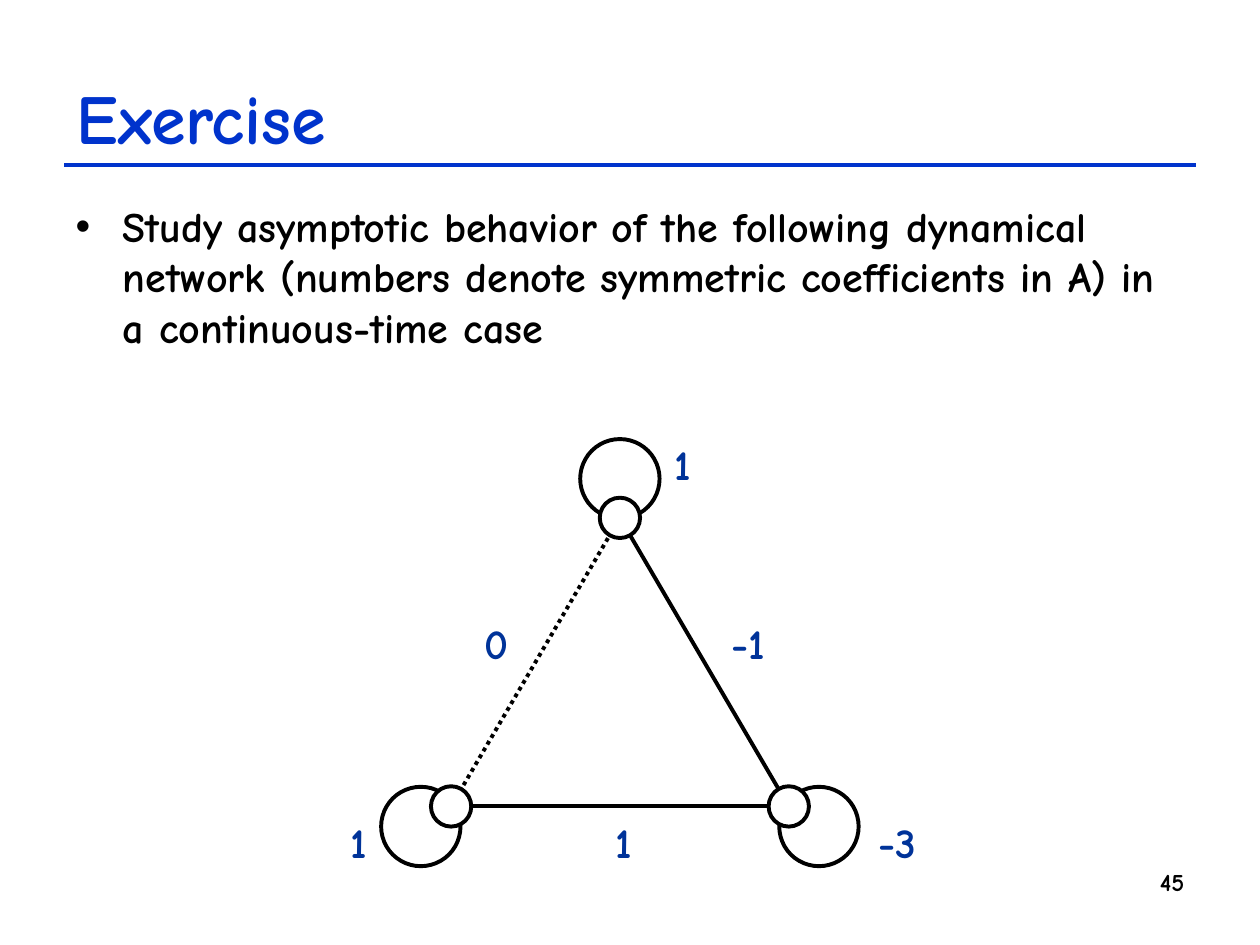
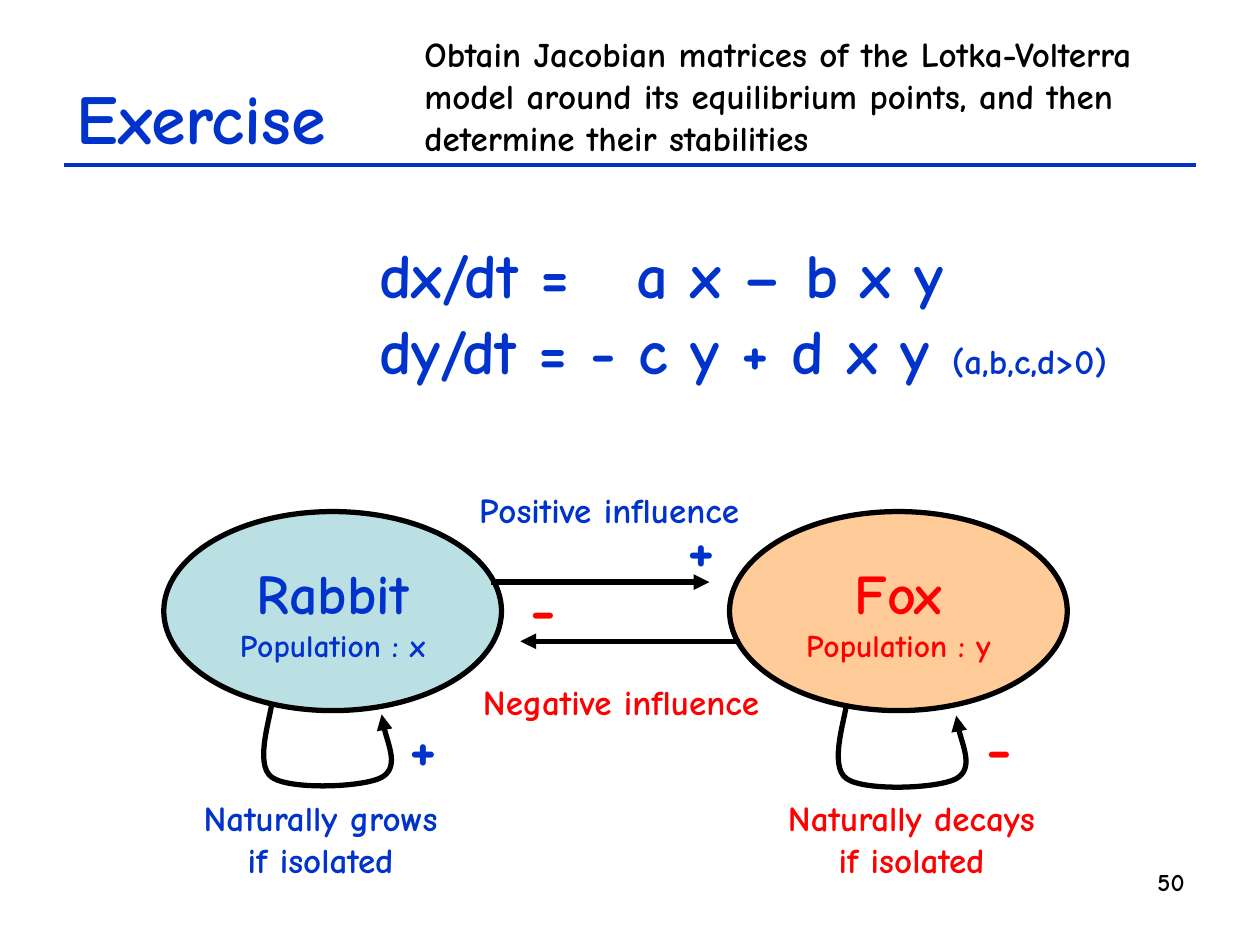
"""Build two exercise slides: a coupled network and the Lotka-Volterra model."""
import pptx
import pptx.util
import pptx.dml.color
import pptx.enum.dml
import pptx.enum.shapes
import pptx.enum.text
import pptx.oxml
import pptx.oxml.ns

Inches, Pt = pptx.util.Inches, pptx.util.Pt
ALIGN = pptx.enum.text.PP_ALIGN
ANCHOR = pptx.enum.text.MSO_ANCHOR
AUTO = pptx.enum.text.MSO_AUTO_SIZE
OVAL = pptx.enum.shapes.MSO_SHAPE.OVAL
STRAIGHT = pptx.enum.shapes.MSO_CONNECTOR.STRAIGHT
qn = pptx.oxml.ns.qn

FONT = "Comic Neue"
BLUE, NAVY, RED = "0033CC", "003399", "FF0000"
BLACK, WHITE = "000000", "FFFFFF"
THIN, THICK = 2.24, 3

TASK = ("Study asymptotic behavior of the following dynamical network (numbers denote "
        "symmetric coefficients in A) in a continuous-time case")
NODE_SIZE, LOOP_SIZE = 0.32, 0.63
NODES = {
    "top": {"at": (4.92, 4.11), "loop": (0, -0.31)},
    "right": {"at": (6.26, 6.4), "loop": (0.24, 0.16)},
    "left": {"at": (3.58, 6.4), "loop": (-0.24, 0.16)},
}
EDGES = [("top", "left", True), ("top", "right", False), ("right", "left", False)]
WEIGHT_BOX = (0.54, 0.5)
WEIGHTS = [("1", 4.95, 6.43), ("-1", 5.94, 4.85), ("-3", 7.12, 6.43),
           ("1", 2.85, 6.43), ("1", 5.42, 3.43), ("0", 3.94, 4.85)]

PROMPT = ("Obtain Jacobian matrices of the Lotka-Volterra model around its equilibrium "
          "points, and then determine their stabilities")
EQUATIONS = [
    [("dx/dt = \ta x – b x y", 36)],
    [("dy/dt = - c y + d x y ", 36), ("(a,b,c,d>0)", 20)],
]
SPECIES = [
    {"name": "Rabbit", "size": "Population : x", "left": 1.3, "fill": "BBE0E3", "color": BLUE,
     "loop": (2.16, 5.56), "fate": "Naturally grows", "fate_box": (1.51, 6.27, 2.07, 0.77)},
    {"name": "Fox", "size": "Population : y", "left": 5.79, "fill": "FFCC99", "color": RED,
     "loop": (6.72, 5.57), "fate": "Naturally decays", "fate_box": (6.15, 6.27, 2.17, 0.77)},
]
LOOP_CURVE = [(0, 0.1), (-0.15, 0.51), (0, 0.61), (0.14, 0.71), (0.72, 0.69), (0.87, 0.61),
              (1.01, 0.53), (0.87, 0.21), (0.87, 0.11)]
INFLUENCES = [
    ("Positive influence", BLUE, (3.7, 3.83, 2.27, 0.44), (3.9, 4.62), (5.63, 4.62)),
    ("Negative influence", RED, (3.73, 5.35, 2.4, 0.44), (5.87, 5.09), (4.13, 5.09)),
]
SIGNS = [("+", BLUE, 3.15, 5.57), ("-", RED, 7.73, 5.57),
         ("+", BLUE, 5.36, 3.99), ("-", RED, 4.11, 4.46)]


def rgb(color):
    return pptx.dml.color.RGBColor.from_string(color)


def place(sp, box):
    sp.left, sp.top, sp.width, sp.height = map(Inches, box)


def write(tf, paragraphs, color, align=ALIGN.LEFT):
    """Fill a text frame with paragraphs, each a list of (text, size) runs."""
    for i, runs in enumerate(paragraphs):
        p = tf.paragraphs[0] if i == 0 else tf.add_paragraph()
        p.alignment = align
        for text, size in runs:
            r = p.add_run()
            r.text = text
            r.font.name, r.font.size, r.font.bold = FONT, Pt(size), True
            r.font.color.rgb = rgb(color)


def add_text(s, box, paragraphs, color, align=ALIGN.LEFT, wrap=False):
    tf = s.shapes.add_textbox(*map(Inches, box)).text_frame
    tf.word_wrap = wrap
    tf.auto_size = AUTO.NONE if wrap else AUTO.SHAPE_TO_FIT_TEXT
    write(tf, paragraphs, color, align)
    return tf


def set_line(sp, color, width, arrow=False):
    sp.line.color.rgb = rgb(color)
    sp.line.width = Pt(width)
    if arrow:
        tail = pptx.oxml.parse_xml(f'<a:tailEnd {pptx.oxml.ns.nsdecls("a")} type="triangle"/>')
        sp.line._get_or_add_ln().append(tail)


def add_line(s, start, end, color=BLACK, width=THIN, arrow=False, dotted=False):
    sp = s.shapes.add_connector(STRAIGHT, *map(Inches, start + end))
    if dotted:
        sp.line.dash_style = pptx.enum.dml.MSO_LINE.ROUND_DOT
    set_line(sp, color, width, arrow)
    effects = pptx.oxml.parse_xml(f'<a:effectLst {pptx.oxml.ns.nsdecls("a")}/>')
    sp._element.spPr.append(effects)


def add_oval(s, box, fill=None, width=THIN):
    sp = s.shapes.add_shape(OVAL, *map(Inches, box))
    sp.shadow.inherit = False
    if fill:
        sp.fill.solid()
        sp.fill.fore_color.rgb = rgb(fill)
    else:
        sp.fill.background()
    set_line(sp, BLACK, width)
    return sp


def add_circle(s, center, size, fill=None):
    add_oval(s, (center[0] - size / 2, center[1] - size / 2, size, size), fill)


def add_loop(s, start):
    """Draw a curved arrow, turning each three line points into one Bezier curve."""
    x, y = start
    fb = s.shapes.build_freeform(Inches(x), Inches(y))
    fb.add_line_segments([(Inches(x + dx), Inches(y + dy)) for dx, dy in LOOP_CURVE], close=False)
    sp = fb.convert_to_shape()
    sp.shadow.inherit = False
    sp.fill.background()
    set_line(sp, BLACK, THICK, arrow=True)
    steps = list(sp._element.iter(qn("a:lnTo")))
    for i in range(0, len(steps), 3):
        curve = pptx.oxml.parse_xml(f'<a:cubicBezTo {pptx.oxml.ns.nsdecls("a")}/>')
        steps[i].addprevious(curve)
        for step in steps[i:i + 3]:
            curve.append(step[0])
            step.getparent().remove(step)


def add_slide(prs, layout, title, number):
    s = prs.slides.add_slide(prs.slide_layouts[layout])
    add_line(s, (0.51, 1.31), (9.49, 1.31), BLUE)
    add_text(s, (8.54, 6.83, 0.96, 0.52), [[(number, 14)]], BLACK, ALIGN.RIGHT, wrap=True)
    place(s.shapes.title, (0.51, 0.3, 8.99, 1.25))
    tf = s.shapes.title.text_frame
    tf.vertical_anchor = ANCHOR.MIDDLE
    write(tf, [[(title, 40)]], BLUE)
    return s


def build_network(prs):
    s = add_slide(prs, 1, "Exercise", "45")
    body = s.placeholders[1]
    place(body, (0.5, 1.54, 9, 5.04))
    write(body.text_frame, [[(TASK, 24)]], BLACK)
    body.text_frame.paragraphs[0].space_before = Pt(6)
    for a, b, dotted in EDGES:
        add_line(s, NODES[a]["at"], NODES[b]["at"], dotted=dotted)
    for node in NODES.values():
        (x, y), (dx, dy) = node["at"], node["loop"]
        add_circle(s, (x + dx, y + dy), LOOP_SIZE)
    for node in NODES.values():
        add_circle(s, node["at"], NODE_SIZE, WHITE)
    w, h = WEIGHT_BOX
    for text, center, top in WEIGHTS:
        add_text(s, (center - w / 2, top, w, h), [[(text, 24)]], NAVY, ALIGN.CENTER)


def build_populations(prs):
    s = add_slide(prs, 5, "Exercise", "50")
    for kind in SPECIES:
        add_loop(s, kind["loop"])
        add_text(s, kind["fate_box"], [[(kind["fate"], 20)], [("if isolated", 20)]],
                 kind["color"], ALIGN.CENTER)
        sp = add_oval(s, (kind["left"], 4.06, 2.68, 1.58), kind["fill"], THICK)
        tf = sp.text_frame
        tf.word_wrap = False
        tf.vertical_anchor = ANCHOR.MIDDLE
        write(tf, [[(kind["name"], 32)], [(kind["size"], 18)]], kind["color"], ALIGN.CENTER)
    for text, color, box, start, end in INFLUENCES:
        add_line(s, start, end, width=THICK, arrow=True)
        add_text(s, box, [[(text, 20)]], color, ALIGN.CENTER)
    tf = add_text(s, (2.91, 1.82, 6.02, 1.3), EQUATIONS, BLUE)
    tabs = pptx.oxml.parse_xml(f'<a:tabLst {pptx.oxml.ns.nsdecls("a")}>'
                               f'<a:tab pos="{Inches(2.04)}" algn="l"/></a:tabLst>')
    tf.paragraphs[0]._p.get_or_add_pPr().append(tabs)
    for text, color, x, y in SIGNS:
        add_text(s, (x, y, 0.42, 0.7), [[(text, 36)]], color)
    add_text(s, (3.27, 0.21, 6.22, 1.1), [[(PROMPT, 20)]], BLACK, wrap=True)


prs = pptx.Presentation()
prs.slide_width, prs.slide_height = Inches(10), Inches(7.5)
build_network(prs)
build_populations(prs)
prs.save("out.pptx")
